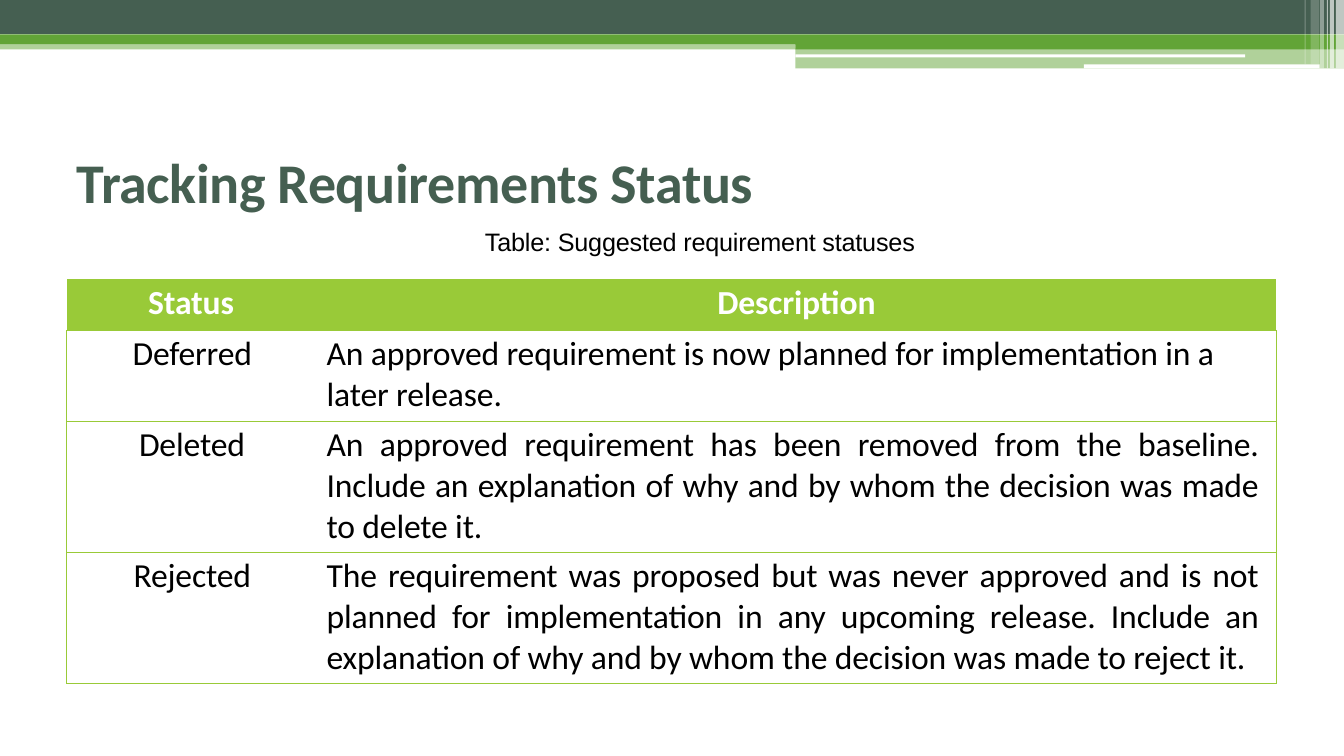
from pptx import Presentation
from pptx.dml.color import RGBColor
from pptx.enum.shapes import MSO_SHAPE as Shape
from pptx.enum.text import MSO_ANCHOR as Anchor, MSO_AUTO_SIZE as AutoSize, PP_ALIGN as Align
from pptx.oxml.ns import qn
from pptx.util import Inches, Pt
from lxml.etree import SubElement, Element

SLATE, GREEN, LIME = "455F51", "62A437", "99CA38"
WHITE, BLACK = "FFFFFF", "000000"
HEADER = ("Status", "Description")
STATUSES = [
    ("Deferred", "An approved requirement is now planned for implementation in a later release.",
     0.9, 0.37, Align.LEFT),
    ("Deleted", "An approved requirement has been removed from the baseline. Include an explanation "
     "of why and by whom the decision was made to delete it.", 1.3, 0.44, Align.JUSTIFY),
    ("Rejected", "The requirement was proposed but was never approved and is not planned for "
     "implementation in any upcoming release. Include an explanation of why and by whom the "
     "decision was made to reject it.", 1.3, 0.38, Align.JUSTIFY),
]


def color(value):
    return RGBColor.from_string(value)


def paint(shape, fill, opacity=100):
    shape.shadow.inherit = False
    shape.fill.solid()
    shape.fill.fore_color.rgb = color(fill)
    shape.line.fill.background()
    if opacity < 100:
        node = shape.fill._xPr.find(qn("a:solidFill"))[0]
        SubElement(node, qn("a:alpha")).set("val", str(opacity * 1000))


def write(paragraph, text, size=24, font="Calibri", fill=BLACK, bold=False, align=Align.LEFT,
          left=0, right=0, before=0, spacing=-0.1):
    properties = paragraph._p.get_or_add_pPr()
    properties.set("marL", str(Inches(left)))
    properties.set("marR", str(Inches(right)))
    properties.set("indent", "0")
    paragraph.alignment = align
    paragraph.space_before = Pt(before)
    run = paragraph.add_run()
    run.text = text
    run.font.size, run.font.name, run.font.bold = Pt(size), font, bold
    run.font.color.rgb = color(fill)
    run._r.get_or_add_rPr().set("spc", str(round(spacing * 100)))


def add_bar(slide, left, top, width, height, fill, opacity=100):
    bar = slide.shapes.add_shape(Shape.RECTANGLE, Inches(left), Inches(top),
                                 Inches(width), Inches(height))
    paint(bar, fill, opacity)


def add_banner(slide, left, top, width):
    right, step = left + width, left + 7.89
    add_bar(slide, left, top + 0.44, 7.89, 0.05, GREEN, 50)
    add_bar(slide, left, top, width, 0.34, SLATE)
    corners = [(left, 0.34), (left, 0.44), (step, 0.44), (step, 0.49), (right, 0.49), (right, 0.34)]
    points = [(Inches(x), Inches(top + y)) for x, y in corners]
    builder = slide.shapes.build_freeform(*points[0])
    builder.add_line_segments(points[1:], close=True)
    paint(builder.convert_to_shape(), GREEN)
    add_bar(slide, step, top + 0.48, right - step, 0.2, GREEN, 50)
    add_bar(slide, step, top + 0.54, 4.46, 0.03, WHITE)
    add_bar(slide, left + 10.75, top + 0.64, 2.34, 0.04, WHITE)
    stripes = [(0.14, 0.04, 0.68, 65), (0.08, 0.08, 0.68, 65), (0.17, 0.01, 0.68, 60),
               (0.24, 0.04, 0.68, 40), (0.33, 0.08, 0.64, 20), (0.39, 0.01, 0.64, 30)]
    for offset, stripe_width, height, opacity in stripes:
        add_bar(slide, right - offset, top, stripe_width, height, WHITE, opacity)


def add_title(slide, left, top, width, height):
    title = slide.shapes.title
    title.left, title.top = Inches(left), Inches(top)
    title.width, title.height = Inches(width), Inches(height)
    frame = title.text_frame
    frame.margin_left = frame.margin_right = frame.margin_bottom = 0
    frame.margin_top = Inches(0.28)
    frame.vertical_anchor = Anchor.TOP
    frame.auto_size = AutoSize.NONE
    frame.word_wrap = True
    write(frame.paragraphs[0], "Tracking Requirements Status", size=40, fill=SLATE, bold=True,
          left=0.01, spacing=-0.25)
    write(frame.add_paragraph(), "Table: Suggested requirement statuses", size=18, font="Arial",
          left=4.06, before=8.7, spacing=-0.15)


def set_borders(cell, sides):
    properties = cell._tc.get_or_add_tcPr()
    for index, side in enumerate("LRTB"):
        line = Element(qn(f"a:ln{side}"), w=str(Pt(0.5)))
        if side in sides:
            SubElement(SubElement(line, qn("a:solidFill")), qn("a:srgbClr")).set("val", LIME)
        else:
            SubElement(line, qn("a:noFill"))
        properties.insert(index, line)


def fill_cell(cell, text, sides, fill=None, **style):
    cell.margin_left = cell.margin_right = cell.margin_bottom = 0
    cell.margin_top = Inches(0.03)
    if fill:
        cell.fill.solid()
        cell.fill.fore_color.rgb = color(fill)
    else:
        cell.fill.background()
    set_borders(cell, sides)
    write(cell.text_frame.paragraphs[0], text, **style)


def add_status_table(slide, left, top, width, height):
    table = slide.shapes.add_table(len(STATUSES) + 1, 2, Inches(left), Inches(top),
                                   Inches(width), Inches(height)).table
    table.horz_banding = False
    table.columns[0].width = Inches(2.21)
    table.columns[1].width = Inches(width - 2.21)
    table.rows[0].height = Inches(0.51)
    header_style = dict(fill=LIME, sides="B")
    for column, (align, indent) in enumerate([(Align.LEFT, 0.81), (Align.CENTER, 0.27)]):
        cell = table.cell(0, column)
        fill_cell(cell, "", **header_style)
        write(cell.text_frame.paragraphs[0], HEADER[column], fill=WHITE, bold=True,
              align=align, left=indent)
    for row, (status, description, row_height, inset, align) in enumerate(STATUSES, 1):
        table.rows[row].height = Inches(row_height)
        fill_cell(table.cell(row, 0), status, "LTB", align=Align.RIGHT, right=inset)
        fill_cell(table.cell(row, 1), description, "RTB", align=align, left=0.37, right=0.18)


def main():
    presentation = Presentation()
    presentation.slide_width, presentation.slide_height = Inches(13.33), Inches(7.5)
    slide = presentation.slides.add_slide(presentation.slide_layouts[5])
    add_banner(slide, 0, 0, 13.33)
    add_title(slide, 0.75, 1.18, 8.41, 1.38)
    add_status_table(slide, 0.66, 2.77, 12, 4.01)
    presentation.save("out.pptx")


if __name__ == "__main__":
    main()
